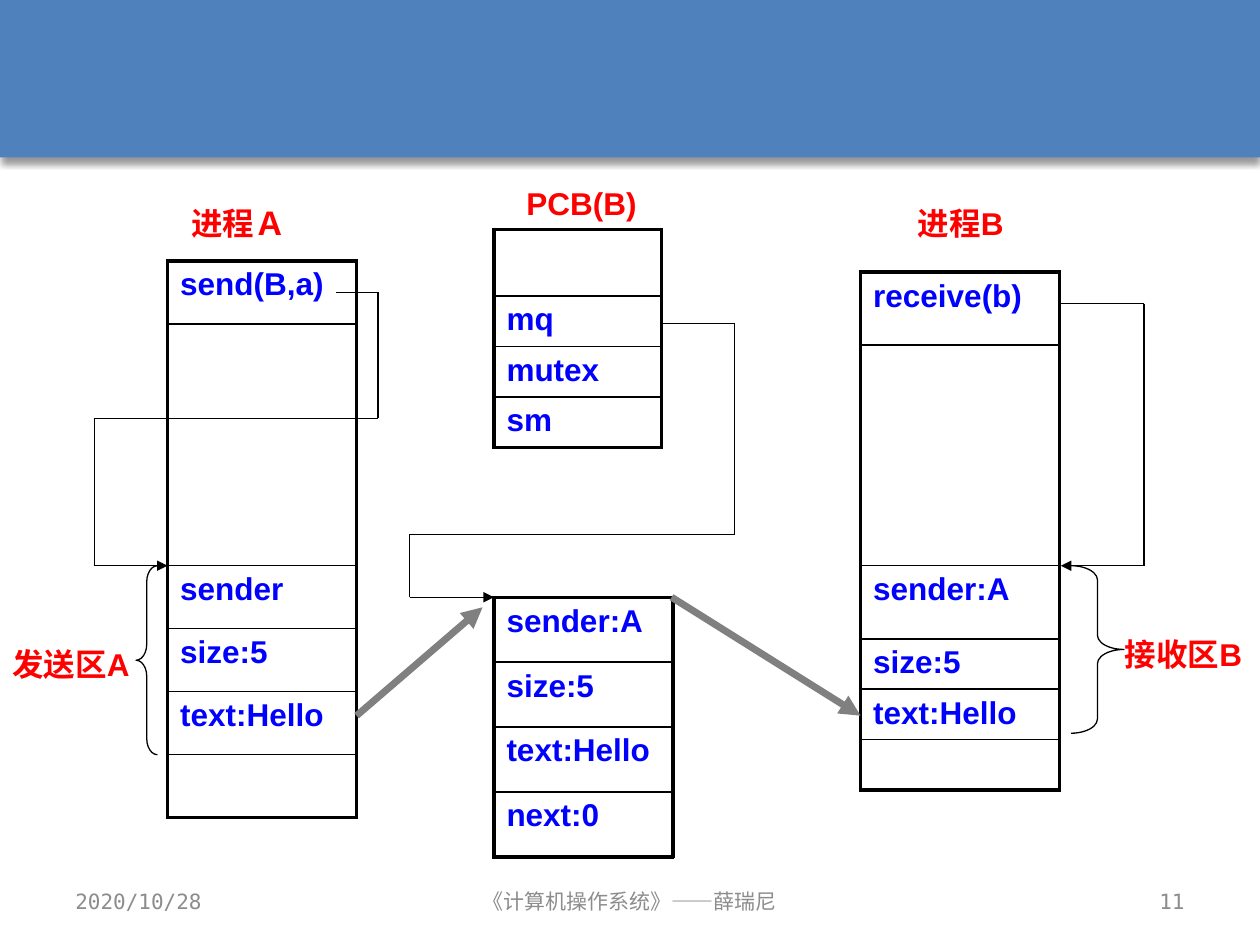
import itertools

import pptx
import pptx.dml.color
import pptx.enum.shapes
import pptx.enum.text
import pptx.oxml
import pptx.oxml.ns
import pptx.util

Inches = pptx.util.Inches
Pt = pptx.util.Pt
RGBColor = pptx.dml.color.RGBColor
ALIGN = pptx.enum.text.PP_ALIGN
ANCHOR = pptx.enum.text.MSO_ANCHOR
SHAPE = pptx.enum.shapes.MSO_SHAPE

BAND_BLUE = RGBColor(0x4F, 0x81, 0xBD)
CELL_BLUE = RGBColor(0x00, 0x00, 0xFF)
LABEL_RED = RGBColor(0xFF, 0x00, 0x00)
BLACK = RGBColor(0x00, 0x00, 0x00)
ARROW_GRAY = RGBColor(0x80, 0x80, 0x80)
FOOTER_GRAY = RGBColor(0x8C, 0x8C, 0x8C)
OUTER, INNER = 2.25, 1

# left, top, width, then (row height, text) from top to bottom
PROCESS_A = (1.33, 2.07, 1.5, [
    (0.5, "send(B,a)"), (0.75, ""), (1.17, ""), (0.5, "sender"),
    (0.5, "size:5"), (0.5, "text:Hello"), (0.5, "")])
PCB_B = (3.92, 1.82, 1.33, [
    (0.53, ""), (0.4, "mq"), (0.4, "mutex"), (0.4, "sm")])
MESSAGE = (3.92, 4.74, 1.42, [
    (0.515, "sender:A"), (0.515, "size:5"), (0.515, "text:Hello"), (0.515, "next:0")])
PROCESS_B = (6.83, 2.16, 1.58, [
    (0.58, "receive(b)"), (1.75, ""), (0.58, "sender:A"),
    (0.4, "size:5"), (0.4, "text:Hello"), (0.4, "")])

SEND_PATH = [(2.67, 2.32), (3, 2.32), (3, 3.32), (2.42, 3.32)]
SEND_AREA_PATH = [(1.33, 3.32), (0.75, 3.32), (0.75, 4.49), (1.33, 4.49)]
QUEUE_PATH = [(5.25, 2.57), (5.83, 2.57), (5.83, 4.24),
              (3.25, 4.24), (3.25, 4.74), (3.92, 4.74)]
RECEIVE_PATH = [(8.42, 2.41), (9.08, 2.41), (9.08, 4.49), (8.42, 4.49)]
COPY_TO_MESSAGE = [(2.83, 5.68), (3.83, 4.82)]
COPY_TO_RECEIVER = [(5.33, 4.74), (6.83, 5.68)]


def drawing_xml(body):
    """Parse one DrawingML element, given without its namespace declaration."""
    tag, rest = body.split(" ", 1)
    return pptx.oxml.parse_xml(f"{tag} {pptx.oxml.ns.nsdecls('a')} {rest}")


def add_title_band(slide, left, top, width, height):
    band = slide.shapes.add_shape(
        SHAPE.RECTANGLE, Inches(left), Inches(top), Inches(width), Inches(height))
    band.fill.solid()
    band.fill.fore_color.rgb = BAND_BLUE
    band.line.fill.background()
    band._element.spPr.append(drawing_xml(
        f'<a:effectLst ><a:outerShdw blurRad="{Pt(4)}" dist="{Pt(3)}" dir="5400000" '
        'algn="t" rotWithShape="0"><a:srgbClr val="000000"><a:alpha val="40000"/>'
        '</a:srgbClr></a:outerShdw></a:effectLst>'))


def set_borders(cell, top, bottom):
    """Draw thick black sides, and the top and bottom at the given widths."""
    properties = cell._tc.get_or_add_tcPr()
    widths = {"L": OUTER, "R": OUTER, "T": top, "B": bottom}
    for index, (side, width) in enumerate(widths.items()):
        properties.insert(index, drawing_xml(
            f'<a:ln{side} w="{Pt(width)}"><a:solidFill><a:srgbClr val="{BLACK}"/>'
            f'</a:solidFill></a:ln{side}>'))


def add_memory_column(slide, left, top, width, rows):
    height = sum(row_height for row_height, _ in rows)
    table = slide.shapes.add_table(
        len(rows), 1, Inches(left), Inches(top), Inches(width), Inches(height)).table
    table.first_row = False
    table.horz_banding = False
    table.columns[0].width = Inches(width)
    last = len(rows) - 1
    for index, (row_height, text) in enumerate(rows):
        table.rows[index].height = Inches(row_height)
        cell = table.cell(index, 0)
        cell.text = text
        cell.fill.background()
        set_borders(cell, OUTER if index == 0 else INNER,
                    OUTER if index == last else INNER)
        style_text(cell.text_frame, 18, CELL_BLUE, "Arial", bold=True)


def style_text(frame, size, color, face, bold=False, align=ALIGN.LEFT):
    paragraph = frame.paragraphs[0]
    paragraph.alignment = align
    font = paragraph.font
    font.size = Pt(size)
    font.bold = bold
    font.name = face
    font.color.rgb = color


def add_text(slide, left, top, width, text, *style, anchor=ANCHOR.TOP, **options):
    frame = slide.shapes.add_textbox(
        Inches(left), Inches(top), Inches(width), Inches(0.4)).text_frame
    frame.word_wrap = True
    frame.vertical_anchor = anchor
    frame.text = text
    style_text(frame, *style, **options)


def add_path(slide, points, color=BLACK, width=0.75, arrow=True):
    """Join the points with straight lines, with an arrowhead at the last."""
    for start, end in itertools.pairwise(points):
        line = slide.shapes.add_connector(
            pptx.enum.shapes.MSO_CONNECTOR.STRAIGHT,
            *(Inches(value) for value in start + end))
        line.line.color.rgb = color
        line.line.width = Pt(width)
        line._element.spPr.append(drawing_xml("<a:effectLst />"))
    if arrow:
        line.line._get_or_add_ln().append(drawing_xml('<a:tailEnd type="triangle"/>'))


def add_brace(slide, kind, left, top, width, height, curl):
    brace = slide.shapes.add_shape(
        kind, Inches(left), Inches(top), Inches(width), Inches(height))
    brace.adjustments[0] = curl
    brace.shadow.inherit = False
    brace.fill.background()
    brace.line.color.rgb = BLACK
    brace.line.width = Pt(0.75)


def add_labels(slide):
    for left, top, width, text, align in [
            (1.42, 1.57, 1.17, "进程Ａ", ALIGN.LEFT),
            (4.08, 1.41, 1.5, "PCB(B)", ALIGN.LEFT),
            (6.75, 1.57, 1.75, "进程B", ALIGN.CENTER),
            (0, 5.07, 1.25, "发送区A", ALIGN.LEFT),
            (8.83, 4.99, 1.17, "接收区B", ALIGN.LEFT)]:
        add_text(slide, left, top, width, text, 18, LABEL_RED, "Arial",
                 bold=True, align=align)


def add_footer(slide, top):
    for left, width, text, align in [
            (0.5, 2.33, "2020/10/28", ALIGN.LEFT),
            (2.83, 4.33, "《计算机操作系统》——薛瑞尼", ALIGN.CENTER),
            (7.17, 2.33, "11", ALIGN.RIGHT)]:
        add_text(slide, left, top, width, text, 12, FOOTER_GRAY, "DejaVu Sans Mono",
                 align=align, anchor=ANCHOR.MIDDLE)


def main():
    presentation = pptx.Presentation()
    presentation.slide_width = Inches(10)
    presentation.slide_height = Inches(7.5)
    slide = presentation.slides.add_slide(presentation.slide_layouts[6])

    add_title_band(slide, 0, 0, 10, 1.25)
    for column in (PROCESS_A, PCB_B, MESSAGE, PROCESS_B):
        add_memory_column(slide, *column)
    add_path(slide, SEND_PATH, arrow=False)
    for path in (SEND_AREA_PATH, QUEUE_PATH, RECEIVE_PATH):
        add_path(slide, path)
    add_brace(slide, SHAPE.LEFT_BRACE, 1.08, 4.49, 0.17, 1.5, 0.75)
    add_brace(slide, SHAPE.RIGHT_BRACE, 8.5, 4.49, 0.42, 1.33, 0.27)
    for path in (COPY_TO_MESSAGE, COPY_TO_RECEIVER):
        add_path(slide, path, ARROW_GRAY, 4)
    add_labels(slide)
    add_footer(slide, 6.95)
    presentation.save("out.pptx")


if __name__ == "__main__":
    main()
